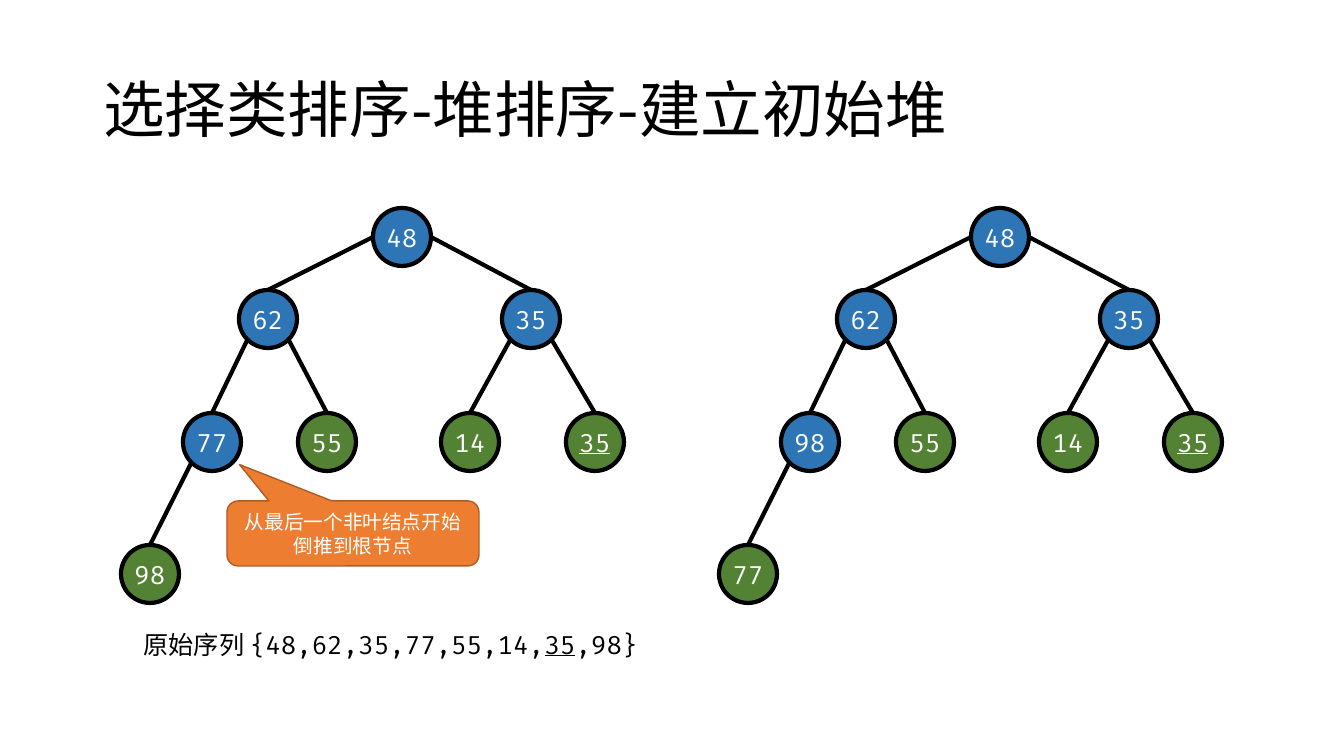
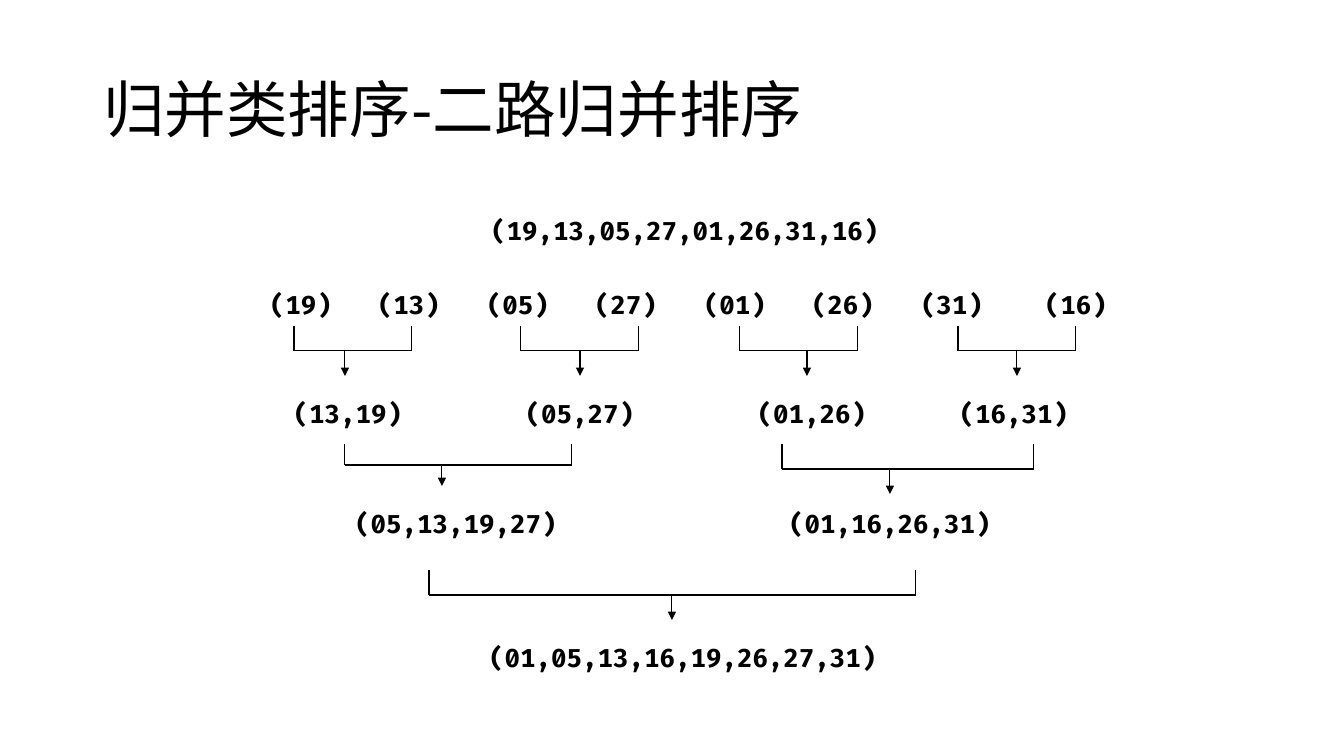
from dataclasses import dataclass
from math import sqrt

from lxml import etree
from pptx import Presentation
from pptx.dml.color import RGBColor
from pptx.enum.shapes import MSO_CONNECTOR, MSO_SHAPE
from pptx.enum.text import MSO_ANCHOR, MSO_AUTO_SIZE, PP_ALIGN
from pptx.oxml.ns import qn
from pptx.util import Emu, Pt

# Shared style
PX_PER_INCH = 100.8
SANS, MONO = "Noto Sans CJK SC", "Fira Code"
BLACK, WHITE = "000000", "FFFFFF"
BLUE, GREEN = "2E75B6", "548235"
ORANGE, BROWN = "ED7D31", "AF5C24"
RADIUS = 29
ROW_HEIGHT = 40
CHAR_WIDTH = 16


@dataclass(frozen=True)
class Node:
    label: str
    x: int
    y: int
    parent: int | None = None
    leaf: bool = False
    underline: bool = False


@dataclass(frozen=True)
class Row:
    top: int
    items: dict[str, int]  # text -> centre x


@dataclass(frozen=True)
class Bracket:
    left: int
    right: int
    arrow: int
    top: int
    depth: int = 25


def px(n: float) -> Emu:
    return Emu(round(n * 914400 / PX_PER_INCH))


def rgb(color: str) -> RGBColor:
    return RGBColor.from_string(color)


def format_run(r, size: int, color: str, latin: str = MONO,
               bold: bool = False, underline: bool = False) -> None:
    r.font.size = Pt(size)
    r.font.name = latin
    r.font.bold = bold
    r.font.underline = underline
    r.font.color.rgb = rgb(color)
    ea = etree.Element(qn("a:ea"), typeface=SANS)
    r.font._element.find(qn("a:latin")).addnext(ea)


def add_title_slide(prs, title: str):
    s = prs.slides.add_slide(prs.slide_layouts[5])
    sp = s.shapes.title
    sp.left, sp.top, sp.width, sp.height = map(px, (93, 40, 1159, 146))
    tf = sp.text_frame
    tf.text = title
    tf.word_wrap = True
    tf.auto_size = MSO_AUTO_SIZE.NONE
    tf.vertical_anchor = MSO_ANCHOR.MIDDLE
    p = tf.paragraphs[0]
    p.alignment = PP_ALIGN.LEFT
    p.line_spacing = 0.9
    format_run(p.runs[0], 44, BLACK, SANS)
    return s


def add_filled(s, kind: MSO_SHAPE, box: tuple[int, int, int, int],
               fill: str, line: str, weight: float):
    sp = s.shapes.add_shape(kind, *map(px, box))
    sp.shadow.inherit = False
    sp.fill.solid()
    sp.fill.fore_color.rgb = rgb(fill)
    sp.line.color.rgb = rgb(line)
    sp.line.width = Pt(weight)
    sp.text_frame.vertical_anchor = MSO_ANCHOR.MIDDLE
    return sp


def add_line(s, x1: float, y1: float, x2: float, y2: float,
             weight: float, arrow: bool = False) -> None:
    cx = s.shapes.add_connector(MSO_CONNECTOR.STRAIGHT,
                                px(x1), px(y1), px(x2), px(y2))
    cx.line.color.rgb = rgb(BLACK)
    cx.line.width = Pt(weight)
    if arrow:
        etree.SubElement(cx.line._get_or_add_ln(), qn("a:tailEnd"), type="triangle")
    etree.SubElement(cx._element.spPr, qn("a:effectLst"))


# Heap tree: nodes and edges
def add_node(s, node: Node, dx: int) -> None:
    box = (node.x + dx - RADIUS, node.y - RADIUS, 2 * RADIUS, 2 * RADIUS)
    sp = add_filled(s, MSO_SHAPE.OVAL, box, GREEN if node.leaf else BLUE, BLACK, 3)
    tf = sp.text_frame
    tf.word_wrap = False
    tf.text = node.label
    p = tf.paragraphs[0]
    p.alignment = PP_ALIGN.CENTER
    format_run(p.runs[0], 18, WHITE, underline=node.underline)


def add_edge(s, parent: Node, child: Node, dx: int) -> None:
    """Leave the root from its side, other parents from the lower diagonal."""
    side = 1 if child.x > parent.x else -1
    diagonal = RADIUS / sqrt(2)
    out, down = (RADIUS, 0) if parent.parent is None else (diagonal, diagonal)
    add_line(s, parent.x + dx + side * out, parent.y + down,
             child.x + dx, child.y - RADIUS, 3)


def add_tree(s, nodes: list[Node], dx: int = 0) -> None:
    for node in nodes:
        add_node(s, node, dx)
        if node.parent is not None:
            add_edge(s, nodes[node.parent], node, dx)


def heap_nodes(fourth: str, last: str) -> list[Node]:
    return [
        Node("48", 402, 237),
        Node("62", 268, 319, 0),
        Node("35", 531, 319, 0),
        Node(fourth, 212, 442, 1),
        Node("55", 327, 442, 1, leaf=True),
        Node("14", 470, 442, 2, leaf=True),
        Node("35", 595, 442, 2, leaf=True, underline=True),
        Node(last, 150, 574, 3, leaf=True),
    ]


def add_sequence(s) -> None:
    tf = s.shapes.add_textbox(*map(px, (133, 624, 515, ROW_HEIGHT))).text_frame
    tf.word_wrap = True
    p = tf.paragraphs[0]
    p.alignment = PP_ALIGN.CENTER
    for text, underline in (("原始序列 {48,62,35,77,55,14,", False),
                            ("35", True), (",98}", False)):
        r = p.add_run()
        r.text = text
        format_run(r, 18, BLACK, underline=underline)


def add_callout(s) -> None:
    sp = add_filled(s, MSO_SHAPE.ROUNDED_RECTANGULAR_CALLOUT,
                    (227, 501, 252, 65), ORANGE, BROWN, 1)
    for i, value in enumerate((-0.45, -1.06, 0.17)):
        sp.adjustments[i] = value
    tf = sp.text_frame
    tf.word_wrap = True
    tf.text = "从最后一个非叶结点开始倒推到根节点"
    p = tf.paragraphs[0]
    p.alignment = PP_ALIGN.CENTER
    format_run(p.runs[0], 14, WHITE, SANS)


# Merge sort: rows of lists and the brackets between them
def add_row(s, row: Row) -> None:
    for text, center in row.items.items():
        width = CHAR_WIDTH * len(text) + 20
        tf = s.shapes.add_textbox(px(center - width / 2), px(row.top),
                                  px(width), px(ROW_HEIGHT)).text_frame
        tf.word_wrap = False
        tf.text = text
        p = tf.paragraphs[0]
        p.alignment = PP_ALIGN.CENTER
        format_run(p.runs[0], 18, BLACK, bold=True)


def add_bracket(s, b: Bracket) -> None:
    bar = b.top + b.depth
    add_line(s, b.left, bar, b.right, bar, 0.75)
    for x in (b.left, b.right):
        add_line(s, x, bar, x, b.top, 0.75)
    add_line(s, b.arrow, bar, b.arrow, bar + b.depth, 0.75, arrow=True)


ROWS = [
    Row(210, {"(19,13,05,27,01,26,31,16)": 685}),
    Row(284, {"(19)": 301, "(13)": 409, "(05)": 518, "(27)": 626,
              "(01)": 735, "(26)": 843, "(31)": 952, "(16)": 1076}),
    Row(393, {"(13,19)": 348, "(05,27)": 580, "(01,26)": 812, "(16,31)": 1014}),
    Row(503, {"(05,13,19,27)": 456, "(01,16,26,31)": 890}),
    Row(637, {"(01,05,13,16,19,26,27,31)": 683}),
]
PAIRS = [Bracket(left, left + 118, arrow, 326)
         for left, arrow in ((294, 345), (521, 580), (740, 807), (958, 1017))]
BRACKETS = PAIRS + [
    Bracket(345, 572, 442, 444, 21),
    Bracket(782, 1034, 890, 444),
    Bracket(429, 916, 672, 570),
]

prs = Presentation()
prs.slide_width, prs.slide_height = px(1344), px(756)

# Slide 1: building the initial heap
s = add_title_slide(prs, "选择类排序-堆排序-建立初始堆")
add_tree(s, heap_nodes("77", "98"))
add_sequence(s)
add_tree(s, heap_nodes("98", "77"), dx=598)
add_callout(s)

# Slide 2: two-way merge sort
s = add_title_slide(prs, "归并类排序-二路归并排序")
for row in ROWS:
    add_row(s, row)
for bracket in BRACKETS:
    add_bracket(s, bracket)

prs.save("out.pptx")
